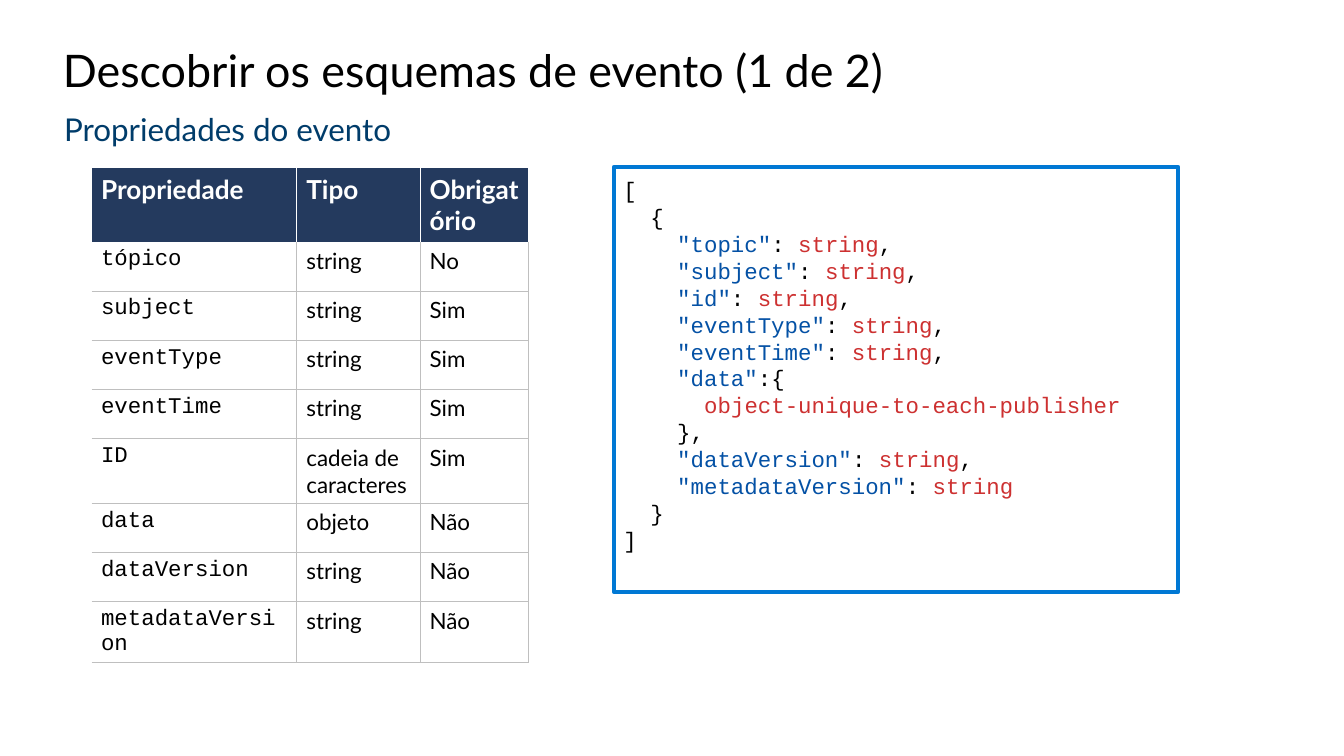
from lxml.etree import SubElement as Sub
from pptx import Presentation
from pptx.dml.color import RGBColor as Rgb
from pptx.enum.shapes import MSO_SHAPE as Form
from pptx.enum.text import MSO_ANCHOR as Anchor, MSO_AUTO_SIZE as Fit, PP_ALIGN as Align
from pptx.oxml.ns import qn
from pptx.util import Cm, Pt

BLACK = Rgb(0x00, 0x00, 0x00)
WHITE = Rgb(0xFF, 0xFF, 0xFF)
NAVY = Rgb(0x24, 0x3A, 0x5E)
TEAL = Rgb(0x00, 0x3C, 0x6A)
GREY = Rgb(0xBF, 0xBF, 0xBF)
BLUE = Rgb(0x00, 0x78, 0xD4)
KEY = Rgb(0x04, 0x51, 0xA5)
RED = Rgb(0xCD, 0x31, 0x31)

SANS, MONO = "Lato", "Courier New"
PLAIN = "{2D5ABB26-0587-4C30-8999-92F81FD0307C}"
STEP = Cm(0.51)

ROWS = [
    ("Propriedade", "Tipo", "Obrigatório"),
    ("tópico", "string", "No"),
    ("subject", "string", "Sim"),
    ("eventType", "string", "Sim"),
    ("eventTime", "string", "Sim"),
    ("ID", "cadeia de caracteres", "Sim"),
    ("data", "objeto", "Não"),
    ("dataVersion", "string", "Não"),
    ("metadataVersion", "string", "Não"),
]
WIDTHS = (3.88, 2.33, 2.05)
HEIGHTS = (1.35, 0.93, 0.93, 0.93, 0.93, 1.19, 0.93, 0.93, 0.93)


def field(name, end=","):
    return 2, [(f'"{name}"', KEY), (": ", BLACK), ("string", RED), (end, BLACK)]


CODE = [
    (0, [("[", BLACK)]),
    (1, [("{", BLACK)]),
    *map(field, ("topic", "subject", "id", "eventType", "eventTime")),
    (2, [('"data"', KEY), (":{", BLACK)]),
    (3, [("object-unique-to-each-publisher", RED)]),
    (2, [("},", BLACK)]),
    field("dataVersion"),
    field("metadataVersion", ""),
    (1, [("}", BLACK)]),
    (0, [("]", BLACK)]),
]


def apply(item, form):
    for name, value in form.items():
        setattr(item, name, value)


def write(para, text, face, size, color, bold=False):
    run = para.add_run()
    run.text = text
    apply(run.font, {"name": face, "size": Pt(size), "bold": bold})
    run.font.color.rgb = color


def inset(side, top):
    return {"margin_left": Cm(side), "margin_right": Cm(side),
            "margin_top": Cm(top), "margin_bottom": Cm(top)}


def heading(holder, box, text, size, color, anchor, form):
    apply(holder, dict(zip(("left", "top", "width", "height"), map(Cm, box))))
    frame = holder.text_frame
    apply(frame, {"word_wrap": True, "auto_size": Fit.NONE,
                  "vertical_anchor": anchor, **inset(0.25, 0.13)})
    para = frame.paragraphs[0]
    apply(para, {"alignment": Align.LEFT, **form})
    props = para._p.get_or_add_pPr()
    props.set("marL", "0")
    props.set("indent", "0")
    Sub(props, qn("a:buNone"))
    write(para, text, SANS, size, color)


def border(cell, sides, color):
    props = cell._tc.get_or_add_tcPr()
    for side in "LRTB":
        line = Sub(props, qn(f"a:ln{side}"), w=str(int(Pt(0.5))))
        if side in sides:
            fill = Sub(line, qn("a:solidFill"))
            Sub(fill, qn("a:srgbClr"), val=str(color))
        else:
            Sub(line, qn("a:noFill"))


def schema(slide, box):
    grid = slide.shapes.add_table(len(ROWS), len(WIDTHS), *map(Cm, box)).table
    grid._tbl.tblPr.find(qn("a:tableStyleId")).text = PLAIN
    apply(grid, {"first_row": False, "horz_banding": False})
    for col, width in zip(grid.columns, WIDTHS):
        col.width = Cm(width)
    for row, height in zip(grid.rows, HEIGHTS):
        row.height = Cm(height)
    for r, words in enumerate(ROWS):
        for c, word in enumerate(words):
            cell = grid.cell(r, c)
            apply(cell, inset(0.18, 0.1))
            para = cell.text_frame.paragraphs[0]
            if r == 0:
                write(para, word, SANS, 14, WHITE, True)
                border(cell, "LR", WHITE)
            else:
                write(para, word, SANS if c else MONO, 12, BLACK)
                sides = ("L" if c else "") + "RB" + ("T" if r > 1 else "")
                border(cell, sides, GREY)
            cell.fill.solid()
            cell.fill.fore_color.rgb = WHITE if r else NAVY


def sample(slide, box):
    panel = slide.shapes.add_shape(Form.RECTANGLE, *map(Cm, box))
    panel.shadow.inherit = False
    panel.fill.background()
    panel.line.color.rgb = BLUE
    panel.line.width = Pt(2)
    frame = panel.text_frame
    apply(frame, {"word_wrap": True, "vertical_anchor": Anchor.TOP, **inset(0.18, 0.18)})
    for n, (depth, parts) in enumerate(CODE):
        para = frame.add_paragraph() if n else frame.paragraphs[0]
        para.alignment = Align.LEFT
        props = para._p.get_or_add_pPr()
        props.set("marL", str(int(depth * STEP)))
        props.set("indent", "0")
        for text, color in parts:
            if text:
                write(para, text, MONO, 12, color)


def main():
    deck = Presentation()
    apply(deck, {"slide_width": Cm(25.4), "slide_height": Cm(14.28)})
    slide = deck.slides.add_slide(deck.slide_layouts[1])
    title, body = slide.placeholders
    heading(title, (0.94, 0, 21.9, 2.77), "Descobrir os esquemas de evento (1 de 2)",
            24, BLACK, Anchor.MIDDLE, {"line_spacing": 0.9})
    heading(body, (0.96, 2.08, 23.37, 0.9), "Propriedades do evento",
            16.8, TEAL, Anchor.TOP, {"line_spacing": 0.8, "space_before": Pt(10)})
    schema(slide, (1.73, 3.18, sum(WIDTHS), sum(HEIGHTS)))
    sample(slide, (11.6, 3.15, 10.67, 8.03))
    deck.save("out.pptx")


if __name__ == "__main__":
    main()
